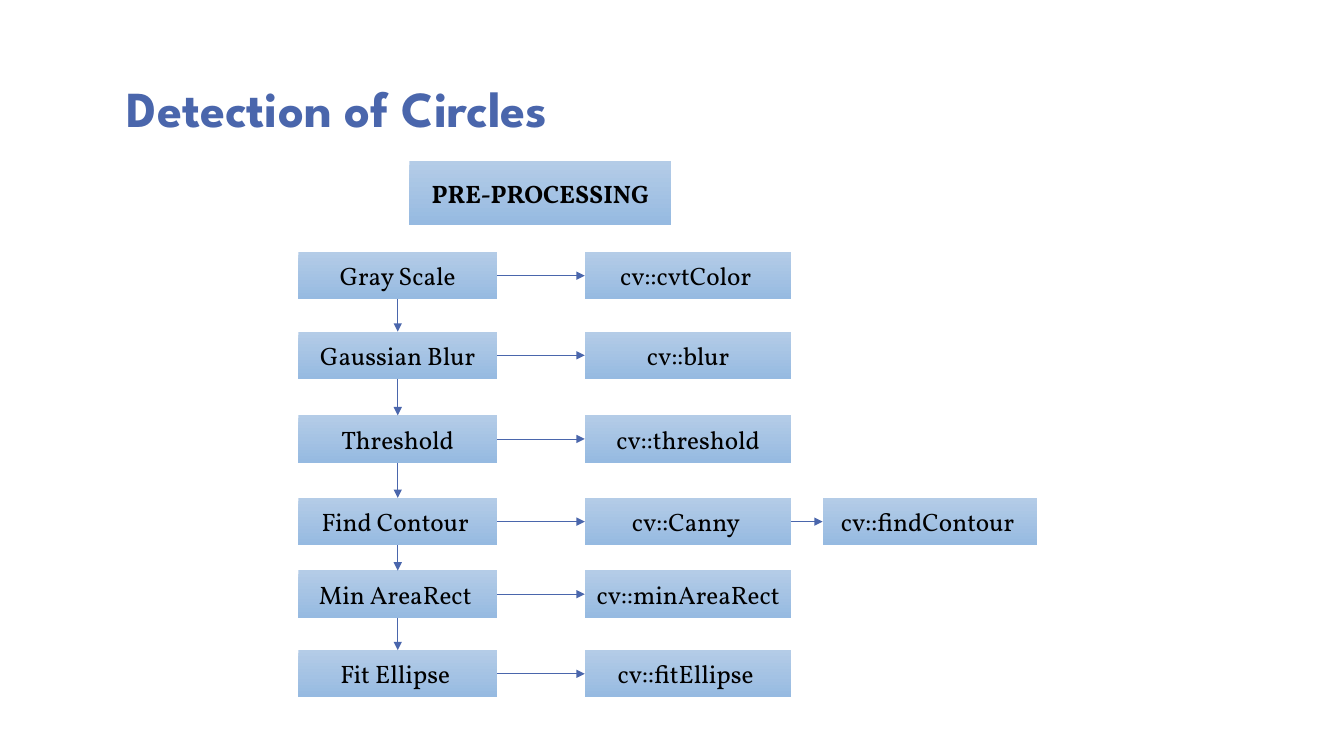
from lxml import etree
from pptx import Presentation
from pptx.dml.color import RGBColor
from pptx.enum.shapes import MSO_CONNECTOR, MSO_SHAPE
from pptx.enum.text import MSO_ANCHOR, PP_ALIGN
from pptx.oxml.ns import qn
from pptx.util import Inches, Pt

RECT = MSO_SHAPE.RECTANGLE
STRAIGHT = MSO_CONNECTOR.STRAIGHT
MIDDLE, BOTTOM_ANCHOR = MSO_ANCHOR.MIDDLE, MSO_ANCHOR.BOTTOM
CENTER = PP_ALIGN.CENTER

BLUE = RGBColor(0x4A, 0x66, 0xAC)
BLACK = RGBColor(0, 0, 0)
GRADIENT = (RGBColor(0xB4, 0xCC, 0xE7), RGBColor(0x96, 0xBA, 0xE1))

TITLE_FONT = {"name": "League Spartan", "size": Pt(36), "bold": True}
BOX_FONT = {"name": "Vollkorn", "size": Pt(18), "bold": False}
HEADING_FONT = {**BOX_FONT, "bold": True}

# Connection sites of a rectangle
TOP, LEFT, BOTTOM, RIGHT = range(4)

# Left edge and width of each column, top of each row, in inches
COLUMNS = [(2.96, 1.97), (5.8, 2.05), (8.16, 2.13)]
ROW_H = 0.47
ROWS = [
    (2.5, ["Gray Scale", "cv::cvtColor "]),
    (3.29, ["Gaussian Blur", "cv::blur"]),
    (4.12, ["Threshold", "cv::threshold"]),
    (4.94, ["Find Contour ", "cv::Canny ", "cv::findContour "]),
    (5.66, ["Min AreaRect ", "cv::minAreaRect "]),
    (6.45, ["Fit Ellipse ", "cv::fitEllipse "]),
]

prs = Presentation()
prs.slide_width, prs.slide_height = Inches(13.33), Inches(7.5)
slide = prs.slides.add_slide(prs.slide_layouts[6])
shapes = slide.shapes


def add_box(text, x, y, w, h, font):
    sp = shapes.add_shape(RECT, Inches(x), Inches(y), Inches(w), Inches(h))
    sp.shadow.inherit = False
    sp.line.fill.background()
    sp.fill.gradient()
    sp.fill.gradient_angle = 270
    for stop, color in zip(sp.fill.gradient_stops, GRADIENT):
        stop.color.rgb = color
    tf = sp.text_frame
    tf.word_wrap = True
    tf.vertical_anchor = MIDDLE
    p = tf.paragraphs[0]
    p.alignment = CENTER
    r = p.add_run()
    r.text = text
    r.font.color.rgb = BLACK
    for key, value in font.items():
        setattr(r.font, key, value)
    return sp


def add_arrow(start, start_site, end, end_site):
    cn = shapes.add_connector(STRAIGHT, 0, 0, 0, 0)
    cn.begin_connect(start, start_site)
    cn.end_connect(end, end_site)
    cn.line.color.rgb = BLUE
    cn.line.width = Pt(0.5)
    etree.SubElement(cn.line._get_or_add_ln(), qn("a:tailEnd"), type="triangle")
    etree.SubElement(cn._element.spPr, qn("a:effectLst"))


# Title
title = shapes.add_textbox(Inches(1.16), Inches(0.58), Inches(9.5), Inches(0.83))
tf = title.text_frame
tf.word_wrap = True
tf.vertical_anchor = BOTTOM_ANCHOR
p = tf.paragraphs[0]
p.line_spacing = 0.8
r = p.add_run()
r.text = "Detection of Circles"
r.font.color.rgb = BLUE
for key, value in TITLE_FONT.items():
    setattr(r.font, key, value)

# Flow chart: steps run down, the functions of each step run right
add_box("PRE-PROCESSING", 4.06, 1.6, 2.6, 0.63, HEADING_FONT)
steps = []
for y, labels in ROWS:
    boxes = [add_box(label, x, y, w, ROW_H, BOX_FONT)
             for label, (x, w) in zip(labels, COLUMNS)]
    for left, right in zip(boxes, boxes[1:]):
        add_arrow(left, RIGHT, right, LEFT)
    steps.append(boxes[0])
for upper, lower in zip(steps, steps[1:]):
    add_arrow(upper, BOTTOM, lower, TOP)

prs.save("out.pptx")
